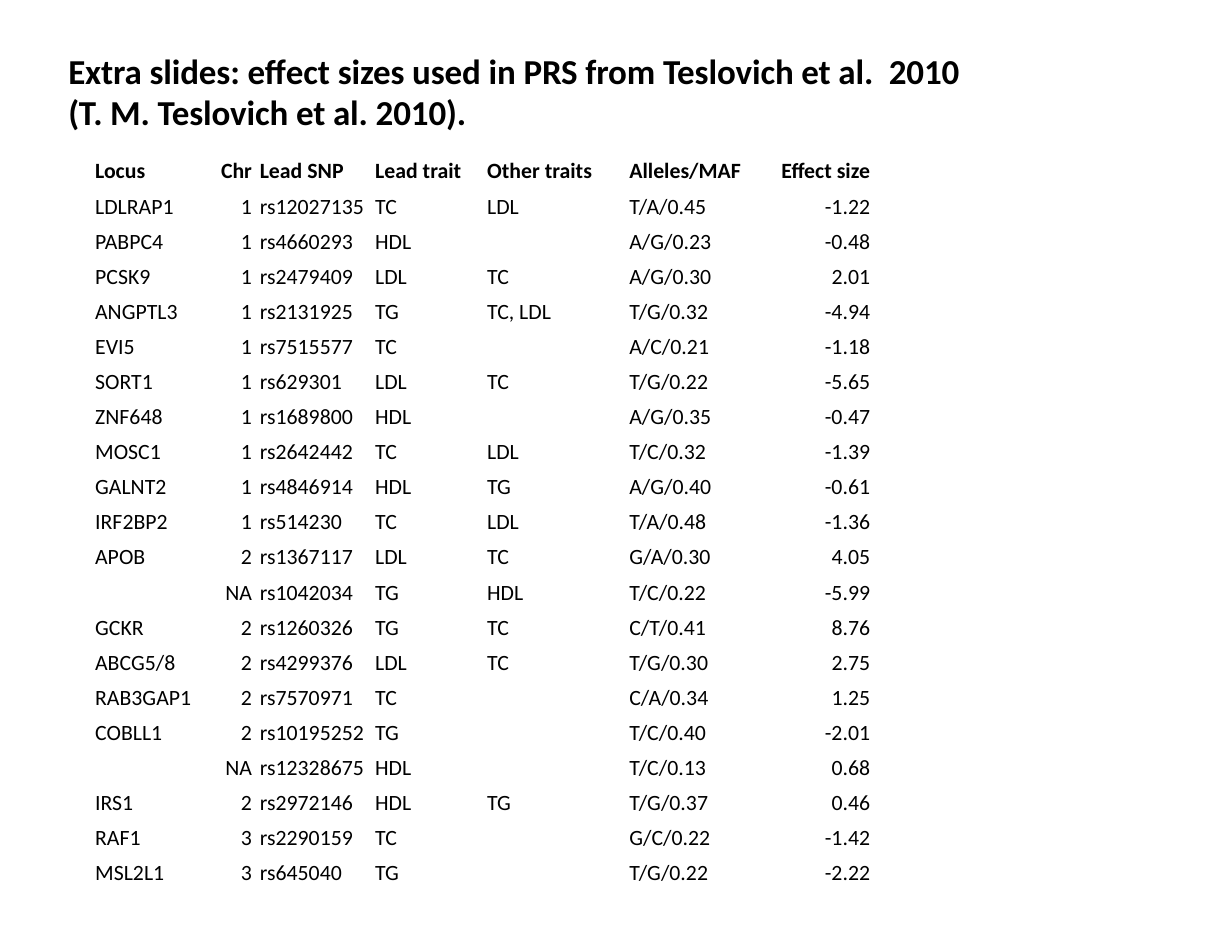
"""Build a slide listing the SNP effect sizes used in a polygenic risk score."""
from typing import NamedTuple

import pptx
import pptx.dml.color
import pptx.enum.text
import pptx.util

Inches = pptx.util.Inches
Pt = pptx.util.Pt
Align = pptx.enum.text.PP_ALIGN

COLORS = {"text": "000000"}
FONT = "Calibri"


class Column(NamedTuple):
    heading: str
    width: float
    left_margin: float = 0
    right_margin: float = 0
    align: Align = Align.LEFT


class Variant(NamedTuple):
    locus: str
    chromosome: str
    lead_snp: str
    lead_trait: str
    other_traits: str
    alleles_maf: str
    effect_size: str


COLUMNS = [
    Column("Locus", 1, 0.02),
    Column("Chr", 0.45, right_margin=0.03, align=Align.RIGHT),
    Column("Lead SNP", 1.02, 0.04),
    Column("Lead trait", 1, 0.05),
    Column("Other traits", 1.23, 0.05),
    Column("Alleles/MAF", 1.25, 0.09),
    Column("Effect size", 1, right_margin=0.01, align=Align.RIGHT),
]

VARIANTS = [
    Variant("LDLRAP1", "1", "rs12027135", "TC", "LDL", "T/A/0.45", "-1.22"),
    Variant("PABPC4", "1", "rs4660293", "HDL", "", "A/G/0.23", "-0.48"),
    Variant("PCSK9", "1", "rs2479409", "LDL", "TC", "A/G/0.30", "2.01"),
    Variant("ANGPTL3", "1", "rs2131925", "TG", "TC, LDL", "T/G/0.32", "-4.94"),
    Variant("EVI5", "1", "rs7515577", "TC", "", "A/C/0.21", "-1.18"),
    Variant("SORT1", "1", "rs629301", "LDL", "TC", "T/G/0.22", "-5.65"),
    Variant("ZNF648", "1", "rs1689800", "HDL", "", "A/G/0.35", "-0.47"),
    Variant("MOSC1", "1", "rs2642442", "TC", "LDL", "T/C/0.32", "-1.39"),
    Variant("GALNT2", "1", "rs4846914", "HDL", "TG", "A/G/0.40", "-0.61"),
    Variant("IRF2BP2", "1", "rs514230", "TC", "LDL", "T/A/0.48", "-1.36"),
    Variant("APOB", "2", "rs1367117", "LDL", "TC", "G/A/0.30", "4.05"),
    Variant("", "NA", "rs1042034", "TG", "HDL", "T/C/0.22", "-5.99"),
    Variant("GCKR", "2", "rs1260326", "TG", "TC", "C/T/0.41", "8.76"),
    Variant("ABCG5/8", "2", "rs4299376", "LDL", "TC", "T/G/0.30", "2.75"),
    Variant("RAB3GAP1", "2", "rs7570971", "TC", "", "C/A/0.34", "1.25"),
    Variant("COBLL1", "2", "rs10195252", "TG", "", "T/C/0.40", "-2.01"),
    Variant("", "NA", "rs12328675", "HDL", "", "T/C/0.13", "0.68"),
    Variant("IRS1", "2", "rs2972146", "HDL", "TG", "T/G/0.37", "0.46"),
    Variant("RAF1", "3", "rs2290159", "TC", "", "G/C/0.22", "-1.42"),
    Variant("MSL2L1", "3", "rs645040", "TG", "", "T/G/0.22", "-2.22"),
]


def write_text(frame, text: str, *, size: float, bold: bool = False,
               align: Align = Align.LEFT, space_before: float = 0,
               line_spacing: float | None = None, tracking: float = 0) -> None:
    paragraph = frame.paragraphs[0]
    paragraph.alignment = align
    paragraph.space_before = Pt(space_before)
    if line_spacing:
        paragraph.line_spacing = Pt(line_spacing)
    run = paragraph.add_run()
    run.text = text
    run.font.name = FONT
    run.font.size = Pt(size)
    run.font.bold = bold
    run.font.color.rgb = pptx.dml.color.RGBColor.from_string(COLORS["text"])
    if tracking:
        run._r.get_or_add_rPr().set("spc", str(round(tracking * 100)))


def draw_title(slide, text: str) -> None:
    title = slide.shapes.add_textbox(Inches(0.6), Inches(0.45), Inches(8.33), Inches(0.73))
    frame = title.text_frame
    frame.word_wrap = True
    frame.margin_left = Inches(0.01)
    frame.margin_top = frame.margin_right = frame.margin_bottom = 0
    write_text(frame, text, size=22.5, bold=True, line_spacing=26.3, tracking=-0.1)


def fill_cell(cell, text: str, column: Column, *, heading: bool) -> None:
    cell.fill.background()
    cell.margin_left = Inches(column.left_margin)
    cell.margin_right = Inches(column.right_margin)
    cell.margin_top = cell.margin_bottom = 0
    if text:
        write_text(cell.text_frame, text, size=14, bold=heading, align=column.align,
                   space_before=2.2 if heading else 1.4)


def draw_effect_table(slide, columns: list[Column], variants: list[Variant]) -> None:
    rows = [[column.heading for column in columns], *variants]
    height, edge_row_height = 6.59, 0.32
    inner_row_height = (height - 2 * edge_row_height) / (len(rows) - 2)
    width = sum(column.width for column in columns)
    effects = slide.shapes.add_table(
        len(rows), len(columns), Inches(0.83), Inches(1.41), Inches(width), Inches(height)
    ).table
    effects.first_row = effects.horz_banding = False
    for index, column in enumerate(columns):
        effects.columns[index].width = Inches(column.width)
    for row_index, row in enumerate(rows):
        at_edge = row_index in (0, len(rows) - 1)
        effects.rows[row_index].height = Inches(edge_row_height if at_edge else inner_row_height)
        for column_index, (text, column) in enumerate(zip(row, columns)):
            fill_cell(effects.cell(row_index, column_index), text, column,
                      heading=row_index == 0)


def main() -> None:
    presentation = pptx.Presentation()
    presentation.slide_width = Inches(11)
    presentation.slide_height = Inches(8.5)
    slide = presentation.slides.add_slide(presentation.slide_layouts[6])
    draw_title(slide, "Extra slides: effect sizes used in PRS from Teslovich et al.  2010 "
                      "(T. M. Teslovich et al. 2010).")
    draw_effect_table(slide, COLUMNS, VARIANTS)
    presentation.save("out.pptx")


if __name__ == "__main__":
    main()
